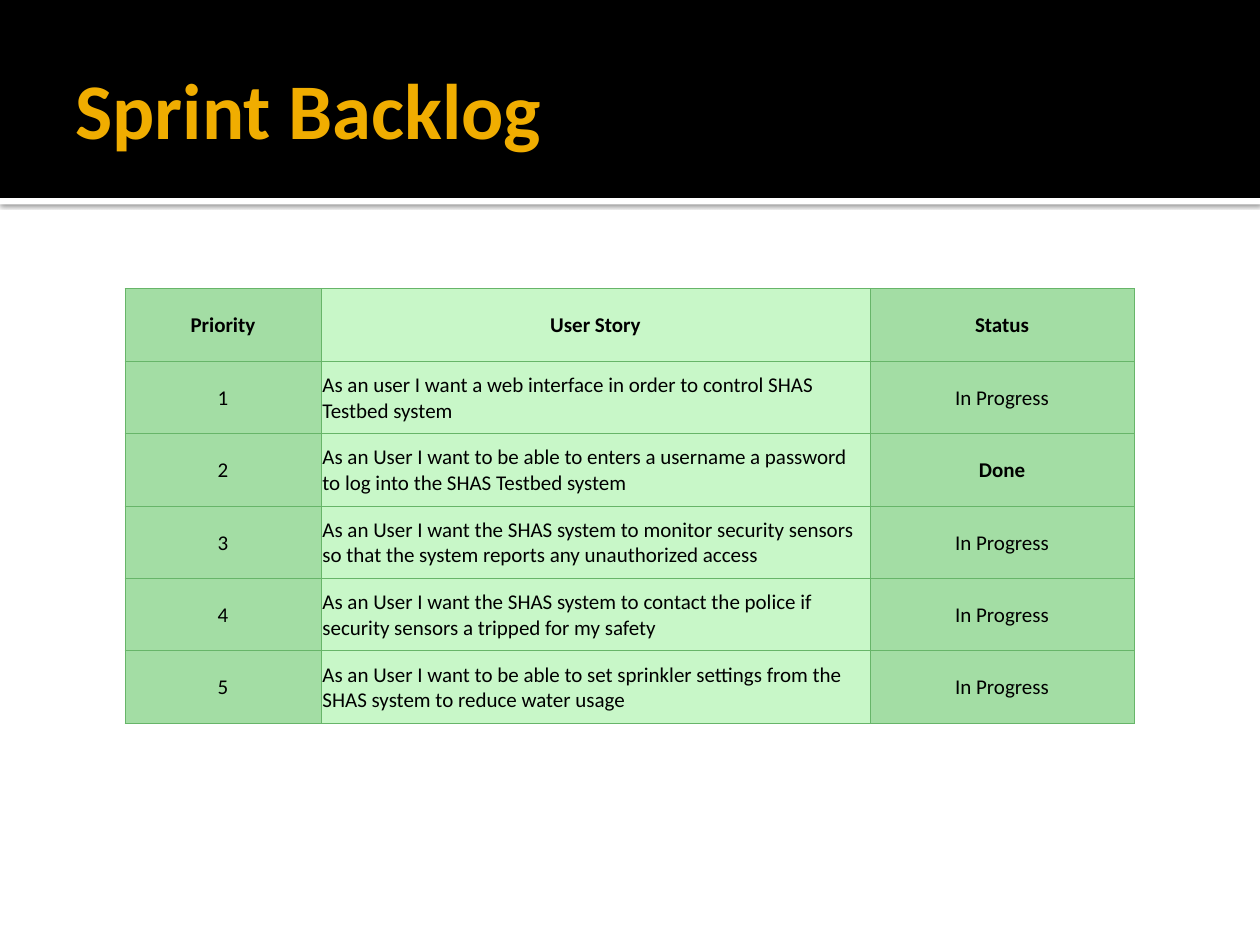
"""Build the Sprint Backlog slide."""
from lxml import etree
from pptx import Presentation
from pptx.dml.color import RGBColor
from pptx.enum import shapes, text
from pptx.oxml import parse_xml
from pptx.oxml.ns import nsdecls
from pptx.util import Cm, Pt

TITLE = "Sprint Backlog"
HEADINGS = ("Priority", "User Story", "Status")
STORIES = [
    ("As an user I want a web interface in order to control SHAS Testbed system", "In Progress"),
    ("As an User I want to be able to enters a username a password "
     "to log into the SHAS Testbed system", "Done"),
    ("As an User I want the SHAS system to monitor security sensors "
     "so that the system reports any unauthorized access", "In Progress"),
    ("As an User I want the SHAS system to contact the police if "
     "security sensors a tripped for my safety", "In Progress"),
    ("As an User I want to be able to set sprinkler settings from the "
     "SHAS system to reduce water usage", "In Progress"),
]
COLUMNS = [(3.95, "A3DDA4"), (11.07, "C8F7C8"), (5.32, "A3DDA4")]
ROW_HEIGHT = 1.46
FONT, BLACK, WHITE, GOLD, GREEN = "Calibri", "000000", "FFFFFF", "F0AD00", "67B569"


def color(value):
    return RGBColor.from_string(value)


def add_band(page, top, height, fill):
    band = page.shapes.add_shape(shapes.MSO_SHAPE.RECTANGLE, 0, Cm(top), Cm(25.4), Cm(height))
    band.shadow.inherit = False
    band.fill.solid()
    band.fill.fore_color.rgb = color(fill)
    band.line.fill.background()
    return band


def add_shadow(shape):
    effects = shape._element.spPr.find("{*}effectLst")
    effects.append(parse_xml(
        f'<a:outerShdw {nsdecls("a")} blurRad="{Pt(2.5)}" dist="{Pt(0.8)}" dir="5400000" '
        f'algn="tl" rotWithShape="0"><a:srgbClr val="{BLACK}"><a:alpha val="60000"/>'
        '</a:srgbClr></a:outerShdw>'))


def write(para, words, size, fill, bold):
    para.text = words
    para.font.name, para.font.size, para.font.bold = FONT, Pt(size), bold
    para.font.color.rgb = color(fill)


def add_borders(cell):
    properties = cell._tc.get_or_add_tcPr()
    for index, side in enumerate("LRTB"):
        properties.insert(index, parse_xml(
            f'<a:ln{side} {nsdecls("a")} w="{Pt(0.5)}"><a:solidFill>'
            f'<a:srgbClr val="{GREEN}"/></a:solidFill></a:ln{side}>'))


def add_title(page):
    box = page.shapes.add_textbox(Cm(1.27), Cm(0.43), Cm(22.86), Cm(3.48))
    frame = box.text_frame
    frame.word_wrap = True
    frame.vertical_anchor = text.MSO_ANCHOR.MIDDLE
    frame.margin_left = Cm(0.25)
    frame.margin_right = frame.margin_top = frame.margin_bottom = Cm(0.13)
    write(frame.paragraphs[0], TITLE, 45, GOLD, True)


def add_backlog(page):
    rows = [HEADINGS] + [(str(n), *story) for n, story in enumerate(STORIES, 1)]
    width = sum(size for size, _ in COLUMNS)
    table = page.shapes.add_table(len(rows), len(COLUMNS), Cm(2.52), Cm(5.82),
                                  Cm(width), Cm(ROW_HEIGHT * len(rows))).table
    for column, (size, _) in zip(table.columns, COLUMNS):
        column.width = Cm(size)
    for r, values in enumerate(rows):
        table.rows[r].height = Cm(ROW_HEIGHT)
        for c, words in enumerate(values):
            cell = table.cell(r, c)
            cell.vertical_anchor = text.MSO_ANCHOR.MIDDLE
            cell.margin_left = cell.margin_right = cell.margin_top = Cm(0.03)
            cell.margin_bottom = 0
            cell.fill.solid()
            cell.fill.fore_color.rgb = color(COLUMNS[c][1])
            add_borders(cell)
            para = cell.text_frame.paragraphs[0]
            write(para, words, 12, BLACK, r == 0 or words == "Done")
            is_story = r > 0 and c == 1
            para.alignment = text.PP_ALIGN.LEFT if is_story else text.PP_ALIGN.CENTER


deck = Presentation()
deck.slide_width, deck.slide_height = Cm(25.4), Cm(19.05)
page = deck.slides.add_slide(deck.slide_layouts[6])
add_shadow(add_band(page, 3.99, 0.13, WHITE))
add_band(page, 0, 3.99, BLACK)
add_title(page)
add_backlog(page)
deck.save("out.pptx")
